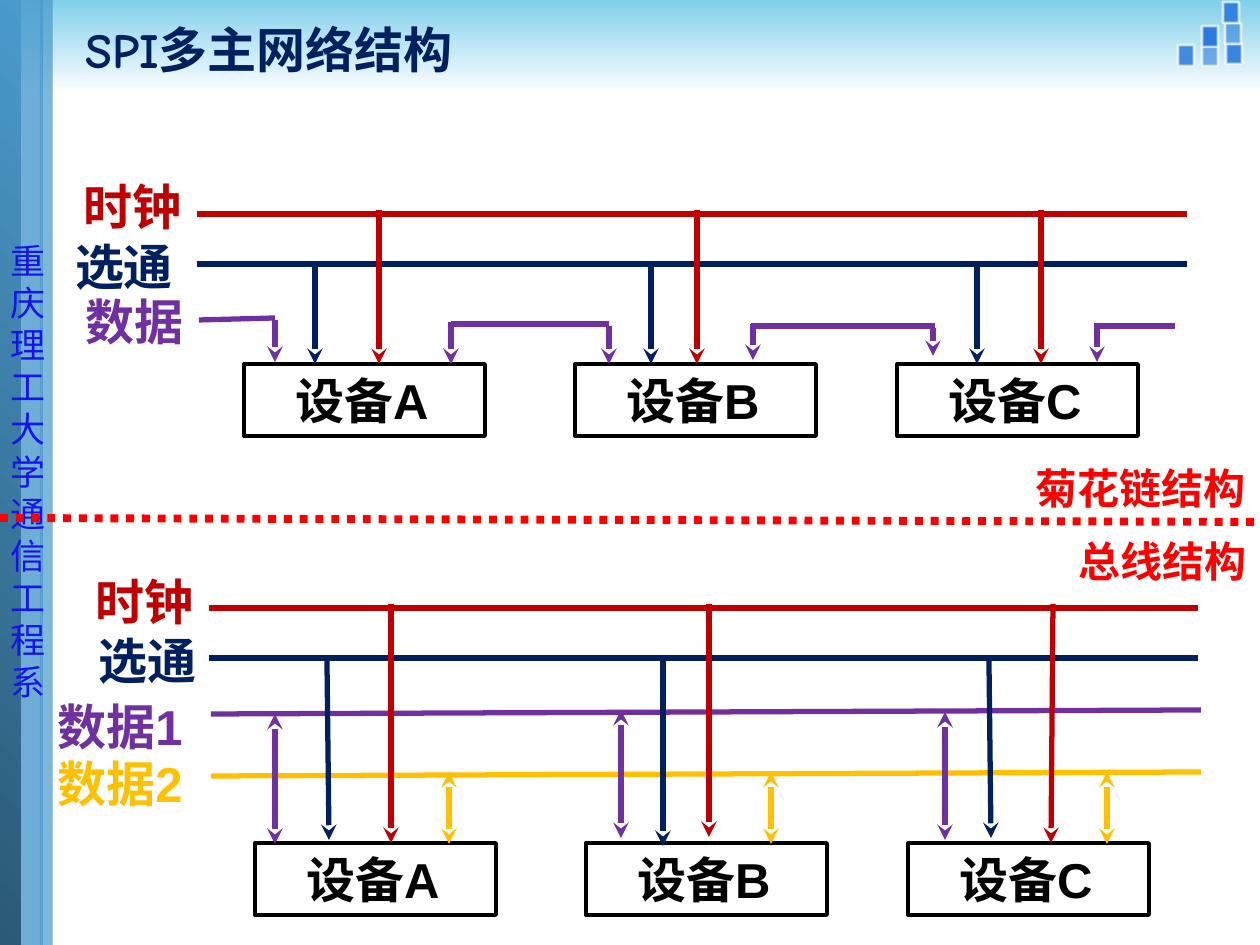
from lxml import etree
from pptx import Presentation
from pptx import util as u
from pptx.dml.color import RGBColor
from pptx.enum import dml, shapes, text
from pptx.oxml.ns import qn

# Theme
THEME = dict(
    red="C00000", navy="002060", plum="7030A0", gold="FFC000", hot="FF0000",
    ink="000000", white="FFFFFF", sky="81CFEB", blue="4A9ACC", deep="2B5976",
    tile="297CDD", side="1813EB",
    big=28, mid=24, small=20, thin=2.25, wire=3, thick=4.5,
    body="Arial", head="Comic Neue", cjk="Noto Sans CJK SC")
PX = 914400 / 126

# Content: page frame
TITLE = "SPI多主网络结构"
SIDE = ["重庆理工大学", "通信工程系"]
TILES = [(1226, 43, 90), (1202, 45, 60), (1178, 45, 85),
         (1202, 26, 100), (1225, 23, 60), (1223, 2, 90)]  # x, y, opacity
STRIPS = [(40, 13, 54), (42, 10, 37)]  # x, width, opacity
NAMES = ["设备A", "设备B", "设备C"]
LEFTS = [244, 575, 897]
NOTES = [("菊花链结构", 984, 456, 276), ("总线结构", 1027, 529, 233)]

# Content: labels as text, colour, x, y, width, indent, wrap
LABELS = [
    ("时钟", "red", 45, 176, 137, 39, False),
    ("选通", "navy", 63, 236, 122, 0, True),
    ("数据", "plum", 45, 291, 140, 39, True),
    ("时钟", "red", 57, 571, 137, 39, False),
    ("选通", "navy", 58, 630, 140, 39, True),
    ("数据1", "plum", 4, 696, 193, 39, True),
    ("数据2", "gold", 4, 753, 193, 39, True),
]

# Content: plain wires as colour, x1, y1, x2, y2
WIRES = [
    ("red", 197, 214, 1187, 214), ("navy", 197, 264, 1187, 264),
    ("plum", 199, 320, 275, 318), ("plum", 451, 324, 609, 324),
    ("plum", 751, 326, 935, 326), ("plum", 1094, 326, 1175, 326),
    ("red", 209, 608, 1198, 608), ("navy", 209, 658, 1198, 658),
    ("plum", 211, 714, 1201, 710), ("gold", 211, 776, 1201, 772),
]

# Content: arrows as colour, both ends, list of (x1, y1, x2, y2)
ARROWS = [
    ("plum", False, [(275, 320, 275, 362), (451, 322, 451, 364),
                     (609, 326, 609, 364), (753, 324, 753, 360),
                     (933, 328, 933, 356), (1097, 328, 1097, 362)]),
    ("navy", False, [(x, 266, x, 364) for x in (315, 651, 977)]),
    ("red", False, [(x, 210, x, 364) for x in (379, 697, 1041)]),
    ("navy", False, [(327, 660, 329, 840), (663, 660, 663, 846),
                     (989, 660, 991, 838)]),
    ("red", False, [(391, 604, 391, 843), (709, 604, 709, 837),
                    (1053, 604, 1051, 843)]),
    ("plum", True, [(275, 714, 275, 844), (621, 710, 621, 838),
                    (945, 712, 945, 840)]),
    ("gold", True, [(x, 772, x, 844) for x in (449, 771, 1107)]),
]


def px(n):
    return u.Emu(round(n * PX))


def rgb(key):
    return RGBColor.from_string(THEME[key])


def fade(fill, pct):
    node = next(fill.iter(qn("a:srgbClr")))
    etree.SubElement(node, qn("a:alpha")).set("val", str(pct * 1000))


def rect(x, y, w, h, fill=None, pct=100, grad=None):
    s = slide.shapes.add_shape(shapes.MSO_SHAPE.RECTANGLE,
                               px(x), px(y), px(w), px(h))
    s.shadow.inherit = False
    s.line.fill.background()
    if grad:
        s.fill.gradient()
        s.fill.gradient_angle = grad[2]
        for stop, key in zip(s.fill.gradient_stops, grad):
            stop.color.rgb = rgb(key)
    elif fill:
        s.fill.solid()
        s.fill.fore_color.rgb = rgb(fill)
        if pct < 100:
            fade(s._element.spPr.find(qn("a:solidFill")), pct)
    else:
        s.fill.background()
    return s


def write(s, lines, color, size, font="body", bold=True, indent=0, inset=None,
          wrap=True, mid=True, align=text.PP_ALIGN.LEFT, pitch=None):
    tf = s.text_frame
    tf.word_wrap = wrap
    tf.vertical_anchor = text.MSO_ANCHOR.MIDDLE if mid else text.MSO_ANCHOR.TOP
    if inset is not None:
        tf.margin_left = tf.margin_right = px(inset)
        tf.margin_top = tf.margin_bottom = px(inset)
    for i, line in enumerate(lines):
        p = tf.add_paragraph() if i else tf.paragraphs[0]
        p.alignment = align
        if indent:
            p._p.get_or_add_pPr().set("indent", str(px(indent)))
        if pitch:
            p.line_spacing = u.Pt(pitch)
        r = p.add_run()
        r.text = line
        r.font.name, r.font.size = THEME[font], u.Pt(THEME[size])
        r.font.bold, r.font.color.rgb = bold, rgb(color)


def box(x, y, w, h):
    return slide.shapes.add_textbox(px(x), px(y), px(w), px(h))


def wire(color, x1, y1, x2, y2, ends=(), width="wire", dash=None):
    c = slide.shapes.add_connector(shapes.MSO_CONNECTOR.STRAIGHT,
                                   px(x1), px(y1), px(x2), px(y2))
    c.line.color.rgb = rgb(color)
    c.line.width = u.Pt(THEME[width])
    if dash:
        c.line.dash_style = dash
    ln = c.line._get_or_add_ln()
    for end in ends:
        etree.SubElement(ln, qn(f"a:{end}")).set("type", "stealth")
    etree.SubElement(c._element.spPr, qn("a:effectLst"))


deck = Presentation()
deck.slide_width, deck.slide_height = px(1260), px(945)
slide = deck.slides.add_slide(deck.slide_layouts[6])

# Page frame
rect(0, 0, 1260, 94, grad=("sky", "white", 270))
for x, y, pct in TILES:
    s = rect(x, y, 16, 21, "tile", pct)
    s.line.color.rgb, s.line.width = rgb("white"), u.Pt(1.5)
    fade(s.line._get_or_add_ln(), 70)
rect(14, 0, 29, 945, "blue", 80)
rect(-1, 0, 22, 948, grad=("deep", "blue", 45))
for x, w, pct in STRIPS:
    rect(x, 0, w, 947, "blue", pct)
write(box(-2, 233, 88, 479), SIDE, "side", "small", "cjk", False,
      mid=False, pitch=24.1)
write(box(73, 15, 1169, 67), [TITLE], "navy", "big", "head")

# Devices: the bus row repeats the chain row at an offset
for dx, dy in ((0, 0), (11, 479)):
    for name, x in zip(NAMES, LEFTS):
        s = rect(x + dx, 364 + dy, 241, 72)
        s.line.color.rgb, s.line.width = rgb("ink"), u.Pt(THEME["thin"])
        write(s, [name], "ink", "big", indent=39)

# Labels
for word, color, x, y, w, indent, wrap in LABELS:
    write(box(x, y, w, 59), [word], color, "big", indent=indent, inset=0,
          wrap=wrap, align=text.PP_ALIGN.CENTER if wrap else text.PP_ALIGN.LEFT)
for word, x, y, w in NOTES:
    write(box(x, y, w, 63), [word], "hot", "mid", indent=39, wrap=False)

# Wires, arrows and divider
for row in WIRES:
    wire(*row)
for color, both, spots in ARROWS:
    for spot in spots:
        wire(color, *spot, ends=("headEnd", "tailEnd") if both else ("tailEnd",))
wire("hot", 0, 518, 1260, 522, width="thick",
     dash=dml.MSO_LINE.ROUND_DOT)

deck.save("out.pptx")
